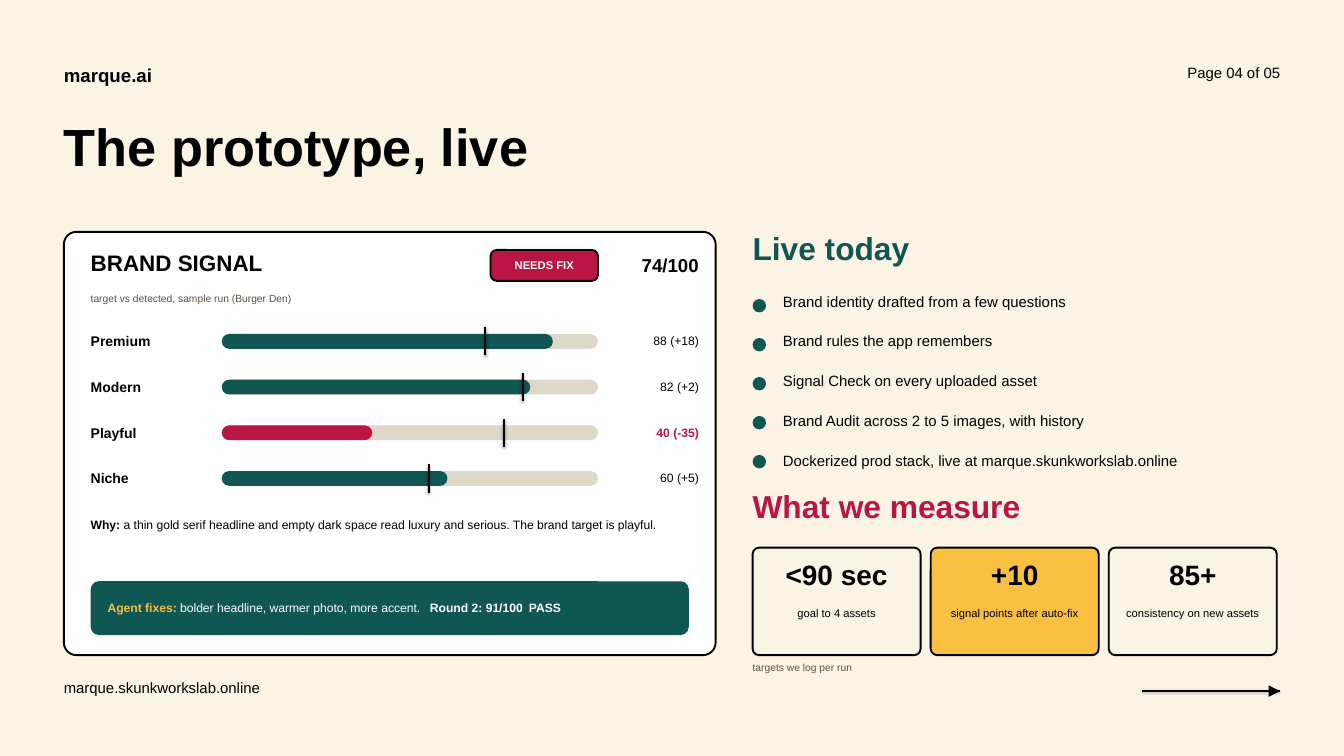
import pptx
import pptx.util
import pptx.dml.color
import pptx.enum.shapes
import pptx.enum.text
import lxml.etree

Pt = pptx.util.Pt
RGB = pptx.dml.color.RGBColor.from_string
KIND = pptx.enum.shapes.MSO_SHAPE
LINE = pptx.enum.shapes.MSO_CONNECTOR.STRAIGHT
ALIGN = pptx.enum.text.PP_ALIGN
ANCHOR = pptx.enum.text.MSO_ANCHOR
HUE = {"paper": "FBF3E4", "ink": "000000", "white": "FFFFFF", "green": "105652",
       "red": "B91646", "gold": "F9C041", "track": "DFD8CA", "grey": "5A5245"}


def label(area, runs, size, hue="ink", bold=False, align=ALIGN.LEFT, mid=False):
    """Write one line into a new text box (area is a tuple) or an existing shape.

    runs is plain text or a list of (text, colour, bold)."""
    box = area
    if isinstance(area, tuple):
        box = slide.shapes.add_textbox(*map(Pt, area))
    frame = box.text_frame
    frame.word_wrap = True
    frame.auto_size = pptx.enum.text.MSO_AUTO_SIZE.NONE
    frame.margin_left = frame.margin_right = frame.margin_top = frame.margin_bottom = 0
    frame.vertical_anchor = ANCHOR.MIDDLE if mid else ANCHOR.TOP
    para = frame.paragraphs[0]
    para.alignment = align
    para.font.name, para.font.size = "Arial", Pt(size)
    if isinstance(runs, str):
        para.text = runs
        para.font.bold, para.font.color.rgb = bold, RGB(HUE[hue])
    else:
        for words, tint, heavy in runs:
            run = para.add_run()
            run.text = words
            run.font.bold, run.font.color.rgb = heavy, RGB(HUE[tint])
    return frame


def block(kind, area, fill, edge=False, round=None):
    shape = slide.shapes.add_shape(kind, *map(Pt, area))
    shape.shadow.inherit = False
    shape.fill.solid()
    shape.fill.fore_color.rgb = RGB(HUE[fill])
    if edge:
        shape.line.color.rgb = RGB(HUE["ink"])
        shape.line.width = Pt(2)
    else:
        shape.line.fill.background()
    if round is not None:
        shape.adjustments[0] = round
    return shape


deck = pptx.Presentation()
deck.slide_width, deck.slide_height = Pt(1440), Pt(810)
slide = deck.slides.add_slide(deck.slide_layouts[1])
slide.background.fill.solid()
slide.background.fill.fore_color.rgb = RGB(HUE["paper"])
title, body = slide.placeholders

# Header and footer
label((68.4, 68.4, 576, 28.8), "marque.ai", 20, bold=True)
label((1094.4, 68.4, 277.2, 28.8), "Page 04 of 05", 16, align=ALIGN.RIGHT)
label((68.4, 727.2, 648, 25.2), "marque.skunkworkslab.online", 16)
arrow = slide.shapes.add_connector(LINE, Pt(1224), Pt(740.16), Pt(1371.6), Pt(740.16))
arrow.line.color.rgb = RGB(HUE["ink"])
arrow.line.width = Pt(1.5)
head = block(KIND.ISOSCELES_TRIANGLE, (1359.36, 734.4, 12.24, 12.24), "ink")
head.rotation = 90

title.left, title.top, title.width, title.height = map(Pt, (68.4, 122.4, 1260, 86.4))
label(title, "The prototype, live", 56, bold=True)

# Signal panel
block(KIND.ROUNDED_RECTANGLE, (68.4, 248.4, 698.4, 453.6), "white", True, 0.03)
label((97.2, 266.4, 432, 36), "BRAND SIGNAL", 24, bold=True)
badge = block(KIND.ROUNDED_RECTANGLE, (525.6, 267.84, 115.2, 33.12), "red", True, 0.2)
label(badge, "NEEDS FIX", 12, "white", True, ALIGN.CENTER, True)
label((648, 267.84, 100.8, 33.12), "74/100", 20, bold=True, align=ALIGN.RIGHT, mid=True)
label((97.2, 313.2, 504, 21.6), "target vs detected, sample run (Burger Den)", 11, "grey")

left, full = 237.6, 403.2
traits = [("Premium", 88, 70), ("Modern", 82, 80), ("Playful", 40, 75), ("Niche", 60, 55)]
for i, (name, score, goal) in enumerate(traits):
    top = 349.2 + i * 48.96
    low = score < goal
    label((97.2, top, 136.8, 32.4), name, 15, bold=True, mid=True)
    for width, fill in ((full, "track"), (full * score / 100, "red" if low else "green")):
        block(KIND.ROUNDED_RECTANGLE, (left, top + 8.64, width, 15.84), fill, round=0.5)
    x = left + full * goal / 100
    tick = slide.shapes.add_connector(LINE, Pt(x), Pt(top + 1.44), Pt(x), Pt(top + 31.68))
    tick.line.color.rgb = RGB(HUE["ink"])
    tick.line.width = Pt(2.5)
    label((655.2, top, 93.6, 32.4), f"{score} ({score - goal:+d})", 13,
          "red" if low else "ink", low, ALIGN.RIGHT, True)

label((97.2, 554.4, 640.8, 64.8), [
    ("Why: ", "ink", True),
    ("a thin gold serif headline and empty dark space read luxury and serious. "
     "The brand target is playful.", "ink", False)], 13)

fixes = block(KIND.ROUNDED_RECTANGLE, (97.2, 622.8, 640.8, 57.6), "green", round=0.15)
frame = label(fixes, [
    ("Agent fixes: ", "gold", True),
    ("bolder headline, warmer photo, more accent.\t", "white", False),
    ("Round 2: 91/100\tPASS", "white", True)], 13, mid=True)
frame.margin_left = Pt(15.5)
props = frame.paragraphs[0]._p.get_or_add_pPr()
tabs = pptx.oxml.parse_xml(
    '<a:tabLst xmlns:a="http://schemas.openxmlformats.org/drawingml/2006/main"/>')
for stop in (345.5, 451.5):
    tab = lxml.etree.SubElement(tabs, pptx.oxml.ns.qn("a:tab"))
    tab.set("pos", str(Pt(stop)))
    tab.set("algn", "l")
props.insert(0, tabs)

# Live today
label((806.4, 244.8, 561.6, 57.6), "Live today", 34, "green", True)
items = ["Brand identity drafted from a few questions",
         "Brand rules the app remembers",
         "Signal Check on every uploaded asset",
         "Brand Audit across 2 to 5 images, with history",
         "Dockerized prod stack, live at marque.skunkworkslab.online"]
body.left, body.top, body.width, body.height = map(Pt, (838.8, 313.2, 532.8, 206.6))
frame = label(body, items[0], 16)
for i, item in enumerate(items):
    block(KIND.OVAL, (806.4, 320.4 + i * 41.76, 14.4, 14.4), "green")
    para = frame.add_paragraph() if i else frame.paragraphs[0]
    para.text = item
    props = para._p.get_or_add_pPr()
    props.set("marL", "0")
    props.set("indent", "0")
    para.line_spacing = 1.0
    para.space_before = Pt(23.36 if i else 0)
    lxml.etree.SubElement(props, pptx.oxml.ns.qn("a:buNone"))
    if i:
        para.font.name, para.font.size = "Arial", Pt(16)
        para.font.color.rgb = RGB(HUE["ink"])
    else:
        props.append(props.find(pptx.oxml.ns.qn("a:defRPr")))

# What we measure
label((806.4, 522, 561.6, 57.6), "What we measure", 34, "red", True)
cards = [("<90 sec", "goal to 4 assets", "paper"),
         ("+10", "signal points after auto-fix", "gold"),
         ("85+", "consistency on new assets", "paper")]
for i, (value, note, fill) in enumerate(cards):
    card = block(KIND.ROUNDED_RECTANGLE, (806.4 + i * 190.8, 586.8, 180, 115.2),
                 fill, True, 0.06)
    frame = label(card, value, 30, bold=True, align=ALIGN.CENTER)
    frame.margin_top = Pt(8.8)
    para = frame.add_paragraph()
    para.text = note
    para.alignment = ALIGN.CENTER
    para.space_before = Pt(15.9)
    para.font.name, para.font.size = "Arial", Pt(12)
    para.font.color.rgb = RGB(HUE["ink"])
label((806.4, 708.48, 561.6, 21.6), "targets we log per run", 11, "grey")

deck.save("out.pptx")
